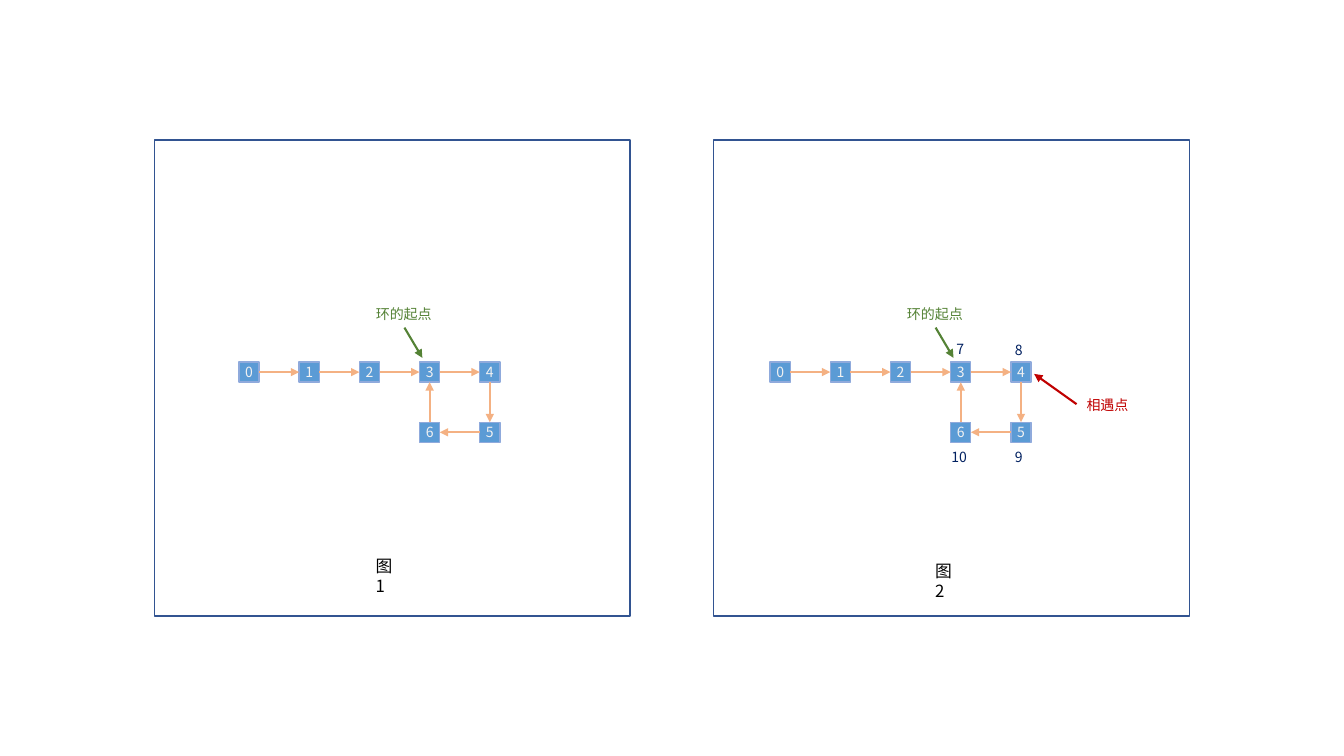
import pptx
import pptx.util
import pptx.dml.color
import pptx.enum.shapes
import pptx.enum.text
import pptx.oxml
import pptx.oxml.ns
import lxml.etree

Pt = pptx.util.Pt
RGBColor = pptx.dml.color.RGBColor
RECT = pptx.enum.shapes.MSO_SHAPE.RECTANGLE

FRAME = RGBColor(0x32, 0x54, 0x91)
NODE = RGBColor(0x5B, 0x9B, 0xD5)
NODE_EDGE = RGBColor(0x8F, 0xAA, 0xDC)
NODE_TEXT = RGBColor(0xF2, 0xF2, 0xF2)
LINK = RGBColor(0xF4, 0xB1, 0x83)
GREEN = RGBColor(0x54, 0x82, 0x35)
RED = RGBColor(0xC0, 0x00, 0x00)
NAVY = RGBColor(0x00, 0x20, 0x60)
BLACK = RGBColor(0x00, 0x00, 0x00)
FONT = "Noto Sans CJK SC"

PANEL_TOP, PANEL_SIZE = 100.1, 340
ROW_TOP, PITCH, NODE_SIZE = 258.6, 43, 14.4
# Column and row of nodes 0 to 6
CELLS = [(0, 0), (1, 0), (2, 0), (3, 0), (4, 0), (4, 1), (3, 1)]
# From node, side, to node, side
LINKS = [(0, 3, 1, 1), (1, 3, 2, 1), (2, 3, 3, 1), (3, 3, 4, 1),
         (4, 2, 5, 0), (5, 1, 6, 3), (6, 0, 3, 2)]
# Caption, panel left, caption top, left of node 0
FIGURES = [("图 1", 110.2, 393.1, 170.7), ("图 2", 509.8, 396.7, 550.1)]

prs = pptx.Presentation()
prs.slide_width, prs.slide_height = Pt(960), Pt(540)
s = prs.slides.add_slide(prs.slide_layouts[6])


def add_label(text, x, y, w, h, color, size=10, wrap=False):
    tf = s.shapes.add_textbox(Pt(x), Pt(y), Pt(w), Pt(h)).text_frame
    tf.word_wrap = wrap
    tf.auto_size = pptx.enum.text.MSO_AUTO_SIZE.SHAPE_TO_FIT_TEXT
    style_text(tf.paragraphs[0], text, color, size)


def style_text(p, text, color, size):
    p.text = text
    p.font.size = Pt(size)
    p.font.name = FONT
    p.font.color.rgb = color
    # East Asian typeface for the Chinese characters
    rpr = p.font._element
    ea = lxml.etree.SubElement(rpr, pptx.oxml.ns.qn("a:ea"))
    ea.set("typeface", FONT)


arrows = []
for caption, panel_left, caption_top, left in FIGURES:
    # Frame and caption
    sp = s.shapes.add_shape(RECT, Pt(panel_left), Pt(PANEL_TOP), Pt(PANEL_SIZE), Pt(PANEL_SIZE))
    sp.shadow.inherit = False
    sp.fill.background()
    sp.line.color.rgb = FRAME
    sp.line.width = Pt(1)
    add_label(caption, panel_left + 151, caption_top, 34, 21.6, BLACK, 12, True)

    # Linked-list nodes
    nodes = []
    for i, (col, row) in enumerate(CELLS):
        sp = s.shapes.add_shape(RECT, Pt(left + col * PITCH), Pt(ROW_TOP + row * PITCH),
                                Pt(NODE_SIZE), Pt(NODE_SIZE))
        sp.shadow.inherit = False
        sp.fill.solid()
        sp.fill.fore_color.rgb = NODE
        sp.line.color.rgb = NODE_EDGE
        sp.line.width = Pt(1)
        tf = sp.text_frame
        tf.word_wrap = False
        tf.margin_left = tf.margin_right = tf.margin_top = tf.margin_bottom = 0
        tf.vertical_anchor = pptx.enum.text.MSO_ANCHOR.MIDDLE
        tf.paragraphs[0].alignment = pptx.enum.text.PP_ALIGN.CENTER
        style_text(tf.paragraphs[0], str(i), NODE_TEXT, 10)
        nodes.append(sp)

    # Links between nodes
    for start, start_side, end, end_side in LINKS:
        cx = s.shapes.add_connector(pptx.enum.shapes.MSO_CONNECTOR.STRAIGHT, 0, 0, 0, 0)
        cx.begin_connect(nodes[start], start_side)
        cx.end_connect(nodes[end], end_side)
        arrows.append((cx, LINK))

    # Start of the cycle
    add_label("环的起点", left + 90.7, 214.6, 54.7, 19.4, GREEN)
    cx = s.shapes.add_connector(pptx.enum.shapes.MSO_CONNECTOR.STRAIGHT,
                                Pt(left + 118.2), Pt(234), Pt(left + 131), Pt(255.6))
    arrows.append((cx, GREEN))

# Second-lap numbers and the meeting point in figure 2
for text, x, y, w in [("7", 676.1, 239.8, 20.9), ("8", 717.8, 240.5, 20.9),
                      ("9", 717.8, 316.8, 20.9), ("10", 672.5, 316.8, 27.4)]:
    add_label(text, x, y, w, 19.4, NAVY)
add_label("相遇点", 769, 279.4, 44.6, 19.4, RED)
cx = s.shapes.add_connector(pptx.enum.shapes.MSO_CONNECTOR.STRAIGHT,
                            Pt(769), Pt(288.7), Pt(738.7), Pt(267.1))
arrows.append((cx, RED))

# Arrow style
for cx, color in arrows:
    cx.line.color.rgb = color
    cx.line.width = Pt(1.5)
    tail = lxml.etree.SubElement(cx.line._get_or_add_ln(), pptx.oxml.ns.qn("a:tailEnd"))
    tail.set("type", "triangle")
    lxml.etree.SubElement(cx._element.spPr, pptx.oxml.ns.qn("a:effectLst"))

prs.save("out.pptx")
